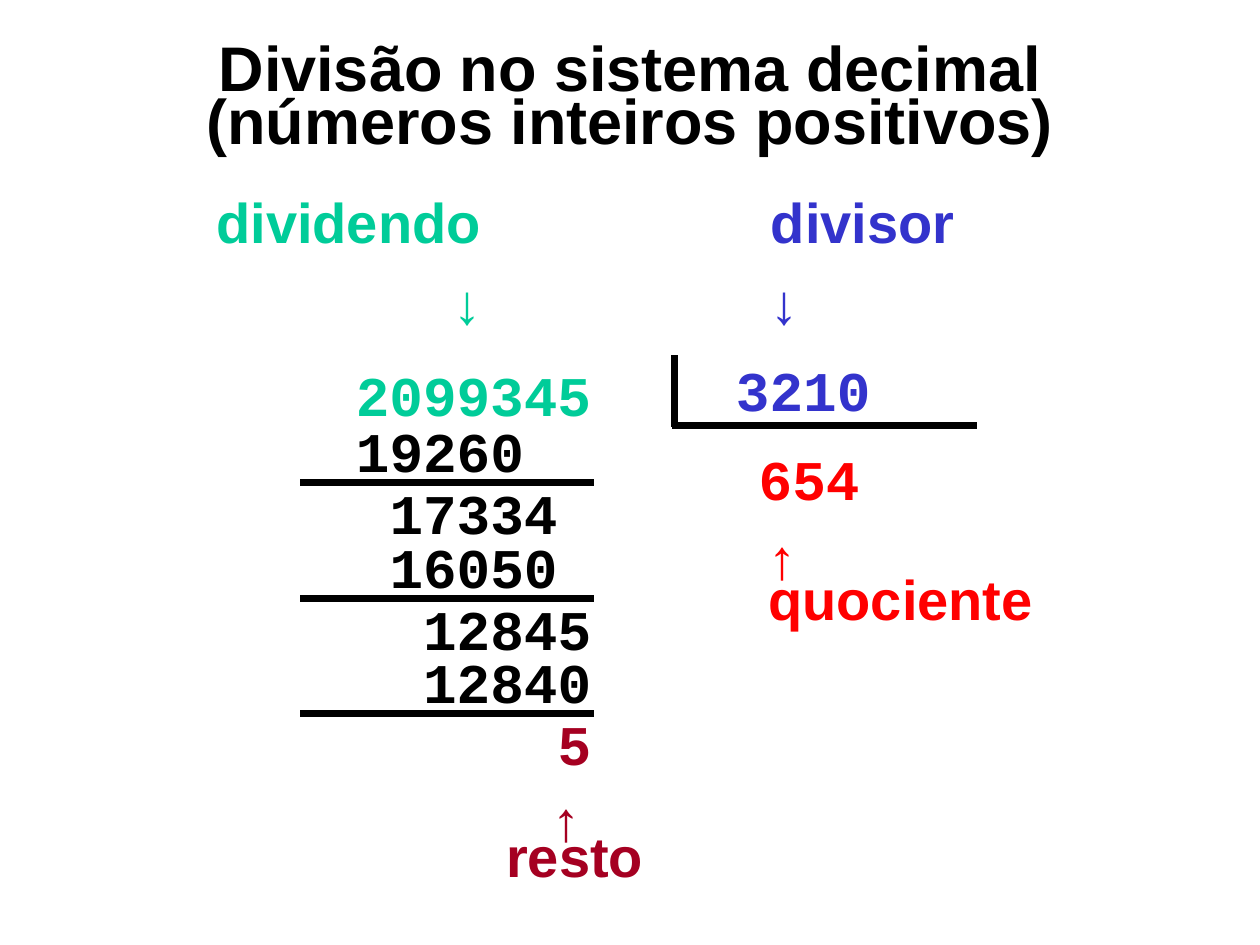
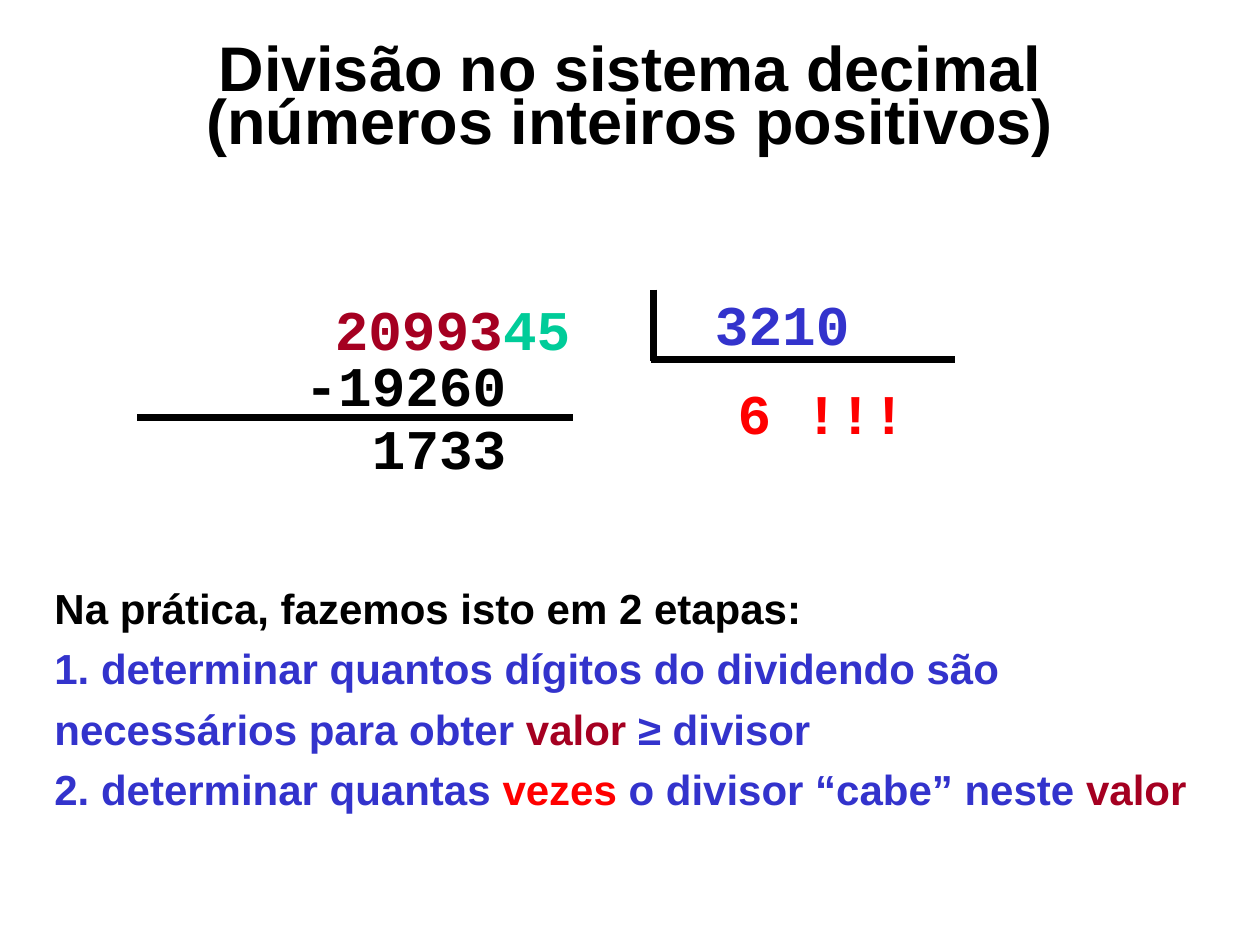
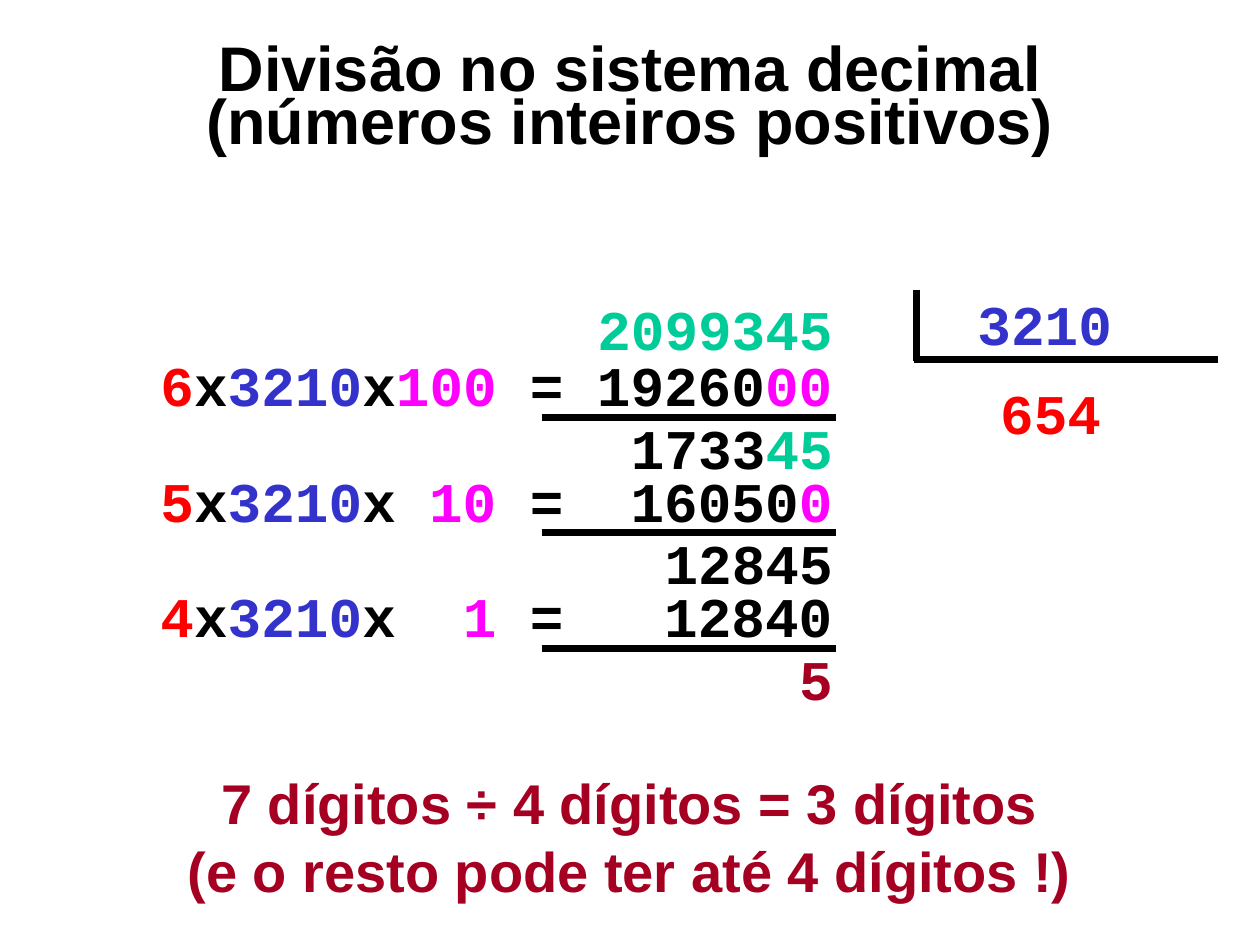
from lxml.etree import SubElement
from pptx import Presentation
from pptx.dml.color import RGBColor
from pptx.enum.shapes import MSO_CONNECTOR
from pptx.enum.text import MSO_ANCHOR, MSO_AUTO_SIZE, PP_ALIGN
from pptx.oxml.ns import qn
from pptx.util import Pt

COLORS = {
    "black": "000000",
    "dividend": "00CC99",
    "divisor": "3333CC",
    "quotient": "FF0000",
    "remainder": "A50021",
    "power": "FF00FF",
}
TITLE = "Divisão no sistema decimal\n(números inteiros positivos)"
LABEL_FONT, DIGIT_FONT = "Arial", "Courier New"
DIGIT_SIZE = 32
DIGIT_WIDTH = 0.6 * DIGIT_SIZE
COLUMN_WIDTH, ROW_HEIGHT = 174, 42
STEP_PITCH = 66
INSET = 7.2


def set_color(target, color):
    """Give a font or line one of the shared colours."""
    target.color.rgb = RGBColor.from_string(COLORS[color])


def style_font(font, name, size):
    """Set the bold face and size of a font."""
    font.name, font.size, font.bold = name, Pt(size), True


def add_right_tabs(paragraph, stops):
    """Add right-aligned tab stops to a paragraph."""
    tabs = SubElement(paragraph._p.get_or_add_pPr(), qn("a:tabLst"))
    for stop in stops:
        SubElement(tabs, qn("a:tab"), pos=str(Pt(stop)), algn="r")


def add_text(slide, box, paragraphs, font=LABEL_FONT, size=DIGIT_SIZE, align=PP_ALIGN.LEFT,
             anchor=MSO_ANCHOR.TOP, gap=0, spacings=None, tabs=()):
    """Write paragraphs, each a list of (text, colour) pieces, into a box."""
    frame = slide.shapes.add_textbox(*map(Pt, box)).text_frame
    frame.word_wrap = True
    frame.vertical_anchor = anchor
    for index, pieces in enumerate(paragraphs):
        paragraph = frame.paragraphs[0] if index == 0 else frame.add_paragraph()
        paragraph.alignment = align
        if index and gap:
            paragraph.space_before = Pt(gap)
        if spacings:
            paragraph.line_spacing = spacings[index]
        if tabs:
            add_right_tabs(paragraph, tabs)
        style_font(paragraph.font, font, size)
        if len(pieces) == 1:
            set_color(paragraph.font, pieces[0][1])
        for text, color in pieces:
            run = paragraph.add_run()
            run.text = text
            if len(pieces) > 1:
                set_color(run.font, color)


def add_line(slide, start, end):
    """Draw a thick black rule."""
    connector = slide.shapes.add_connector(MSO_CONNECTOR.STRAIGHT, *map(Pt, start + end))
    connector.line.width = Pt(4)
    set_color(connector.line, "black")
    SubElement(connector._element.spPr, qn("a:effectLst"))


def add_title_slide(presentation):
    """Add a slide with the shared two-line title."""
    slide = presentation.slides.add_slide(presentation.slide_layouts[5])
    title = slide.shapes.title
    title.left, title.top, title.width, title.height = map(Pt, (54, 24, 612, 69))
    frame = title.text_frame
    frame.auto_size = MSO_AUTO_SIZE.NONE
    frame.vertical_anchor = MSO_ANCHOR.MIDDLE
    paragraph = frame.paragraphs[0]
    paragraph.text = TITLE
    paragraph.alignment = PP_ALIGN.CENTER
    paragraph.line_spacing = 0.7
    style_font(paragraph.font, LABEL_FONT, 36)
    set_color(paragraph.font, "black")
    return slide


def add_number(slide, right, top, pieces, places=0):
    """Right-align a number that ends some digit places left of the column edge."""
    left = right - COLUMN_WIDTH - places * DIGIT_WIDTH
    add_text(slide, (left, top, COLUMN_WIDTH, ROW_HEIGHT), [pieces], DIGIT_FONT,
             align=PP_ALIGN.RIGHT)


def add_equation(slide, right, top, pieces):
    """Write factor, power of ten and product on right tab stops."""
    stops = [places * DIGIT_WIDTH for places in (10, 12, 20)]
    left = right - stops[-1] - 2 * INSET
    add_text(slide, (left, top, right - left + 12, ROW_HEIGHT), [pieces], DIGIT_FONT, tabs=stops)


def add_bracket(slide, right, top, quotient):
    """Draw the division bracket with divisor and quotient beside the dividend."""
    left = right + 39
    add_line(slide, (left + 1.5, top + 0.5), (left + 1.5, top + 41.5))
    add_line(slide, (left, top + 40.5), (left + COLUMN_WIDTH, top + 40.5))
    for text, color, x, y in (("3210", "divisor", 29.5, -3), (quotient, "quotient", 42.5, 48)):
        add_text(slide, (left + x, top + y, COLUMN_WIDTH, ROW_HEIGHT), [[(text, color)]],
                 DIGIT_FONT)


def add_division(slide, right, top, dividend, quotient, steps, rule_width=168):
    """Lay out a long division; steps hold product, its places, remainder, its places."""
    add_number(slide, right, top, dividend)
    add_bracket(slide, right, top, quotient)
    rule_right = right - 5.5
    for index, (product, product_places, remainder, remainder_places) in enumerate(steps):
        y = top + index * STEP_PITCH
        if len(product) > 1:
            add_equation(slide, right, y + 32, product)
        else:
            add_number(slide, right, y + 32, product, product_places)
        add_number(slide, right, y + 67.5, remainder, remainder_places)
        add_line(slide, (rule_right - rule_width, y + 73.5), (rule_right, y + 73.5))


def equation(digit, power, product, zeros):
    """Return the coloured pieces of one partial product."""
    pieces = [(digit, "quotient"), ("x", "black"), ("3210", "divisor"), ("x\t", "black"),
              (power, "power"), (f"\t=\t{product}", "black")]
    return pieces + ([(zeros, "power")] if zeros else [])


def build_terms_slide(presentation):
    """Show the division with its four terms named."""
    slide = add_title_slide(presentation)
    steps = [
        ([("19260", "black")], 2, [("17334", "black")], 1),
        ([("16050", "black")], 1, [("12845", "black")], 0),
        ([("12840", "black")], 0, [("5", "remainder")], 0),
    ]
    add_division(slide, 345, 202.5, [("2099345", "dividend")], "654", steps)
    labels = [
        ((84, 103.5, 198, 42), ("dividendo", "↓"), "dividend", PP_ALIGN.RIGHT, None),
        ((433.5, 103.5, 174, 42), ("divisor", "↓"), "divisor", PP_ALIGN.LEFT, None),
        ((246, 445.5, 156, 72), ("↑", " resto"), "remainder", PP_ALIGN.CENTER, (1.0, 0.2)),
        ((432, 295.5, 168, 96), ("↑", "quociente"), "quotient", PP_ALIGN.LEFT, (1.0, 0.3)),
    ]
    for box, lines, color, align, spacings in labels:
        add_text(slide, box, [[(line, color)] for line in lines], align=align, gap=8,
                 spacings=spacings)


def build_first_digit_slide(presentation):
    """Show how the first quotient digit is found."""
    slide = add_title_slide(presentation)
    steps = [([("-19260", "black")], 1.9, [("1733", "black")], 1.9)]
    add_division(slide, 333, 165, [("20993", "remainder"), ("45", "dividend")], "6 !!!",
                 steps, rule_width=249)
    explanation = [
        [("Na prática, fazemos isto em 2 etapas:", "black")],
        [("1. determinar quantos dígitos do dividendo são necessários para obter ", "divisor"),
         ("valor ", "remainder"), ("≥ divisor", "divisor")],
        [("2. determinar quantas ", "divisor"), ("vezes", "quotient"),
         (" o divisor “cabe” neste ", "divisor"), ("valor", "remainder")],
    ]
    add_text(slide, (24, 270, 666, 252), explanation, size=24, anchor=MSO_ANCHOR.MIDDLE,
             spacings=(1.2,) * len(explanation))


def build_full_division_slide(presentation):
    """Show every partial product with its power of ten."""
    slide = add_title_slide(presentation)
    steps = [
        (equation("6", "100", "19260", "00"), 0, [("1733", "black"), ("45", "dividend")], 0),
        (equation("5", "10", "16050", "0"), 0, [("12845", "black")], 0),
        (equation("4", "1", "12840", ""), 0, [("5", "remainder")], 0),
    ]
    add_division(slide, 483, 165, [("2099345", "dividend")], "654", steps)
    conclusion = ("7 dígitos ÷ 4 dígitos = 3 dígitos", "(e o resto pode ter até 4 dígitos !)")
    add_text(slide, (54, 432, 612, 91.5), [[(line, "remainder")] for line in conclusion],
             align=PP_ALIGN.CENTER, anchor=MSO_ANCHOR.MIDDLE)


def main():
    """Build the three slides and save them."""
    presentation = Presentation()
    presentation.slide_width, presentation.slide_height = Pt(720), Pt(540)
    build_terms_slide(presentation)
    build_first_digit_slide(presentation)
    build_full_division_slide(presentation)
    presentation.save("out.pptx")


if __name__ == "__main__":
    main()
